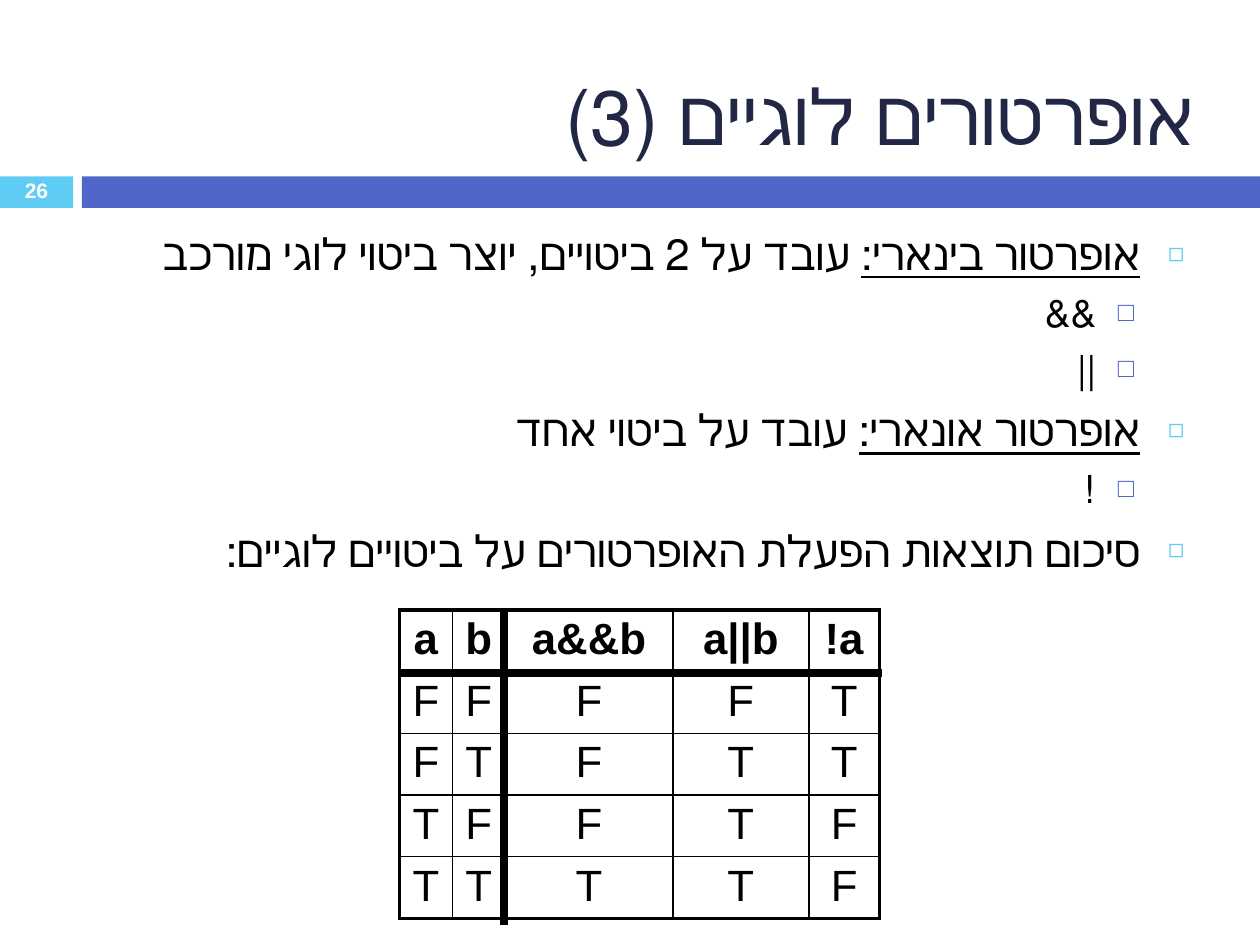
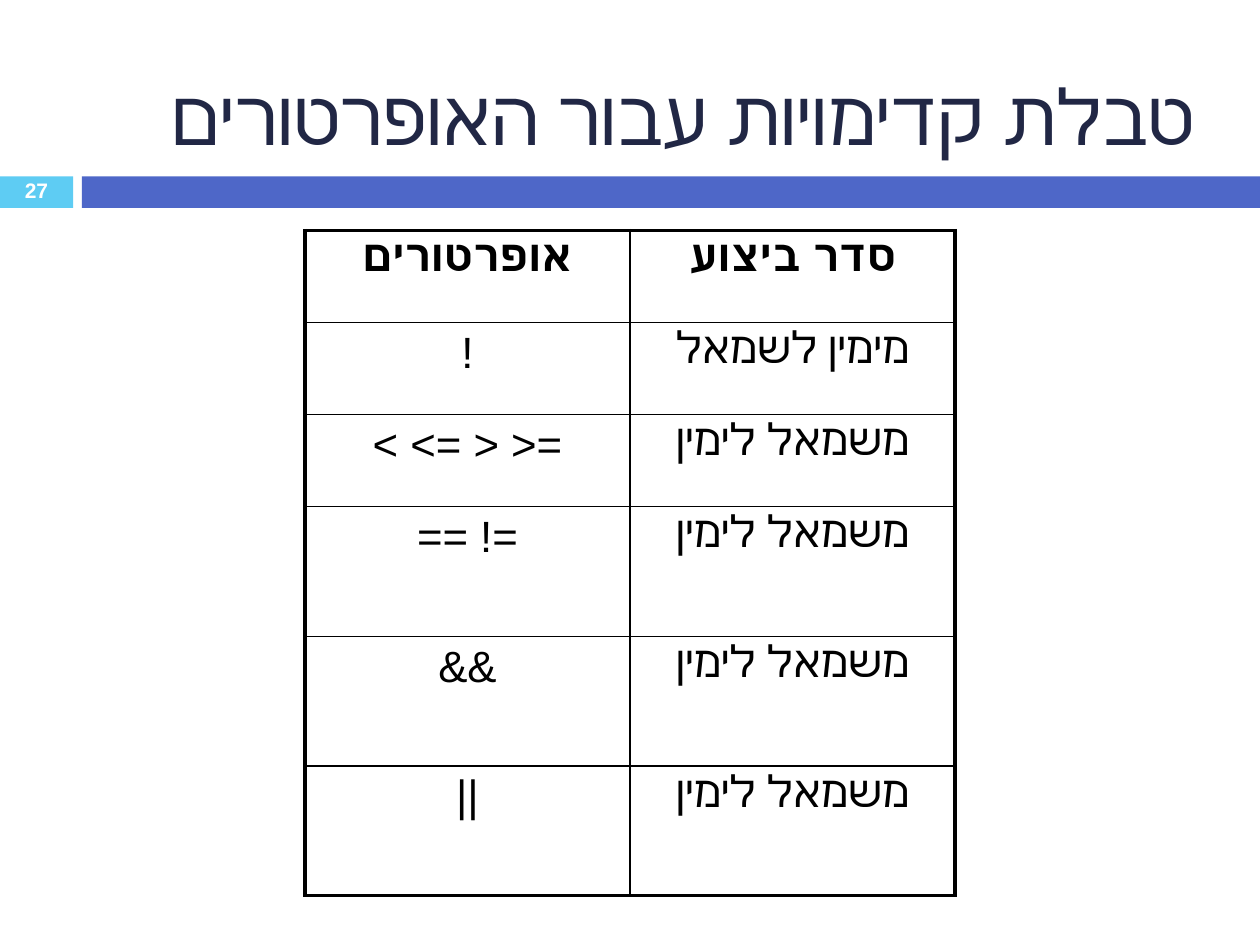
from lxml import etree
from pptx import Presentation
from pptx.dml.color import RGBColor
from pptx.enum.shapes import MSO_CONNECTOR, MSO_SHAPE
from pptx.enum.text import MSO_ANCHOR, MSO_AUTO_SIZE, PP_ALIGN
from pptx.oxml.ns import qn
from pptx.util import Inches, Pt

RECTANGLE, STRAIGHT = MSO_SHAPE.RECTANGLE, MSO_CONNECTOR.STRAIGHT
CENTER, RIGHT = PP_ALIGN.CENTER, PP_ALIGN.RIGHT
TOP, MIDDLE, BOTTOM = MSO_ANCHOR.TOP, MSO_ANCHOR.MIDDLE, MSO_ANCHOR.BOTTOM

FONT = "Arial"
NAVY = RGBColor(0x21, 0x27, 0x45)
BLUE = RGBColor(0x4E, 0x67, 0xC8)
CYAN = RGBColor(0x5E, 0xCC, 0xF3)
BLACK = RGBColor(0, 0, 0)
WHITE = RGBColor(255, 255, 255)

# Content
LOGIC_TITLE = "אופרטורים לוגיים (3)"
# (level, underlined lead, rest)
LOGIC_POINTS = [
    (0, "אופרטור בינארי:", " עובד על 2 ביטויים, יוצר ביטוי לוגי מורכב"),
    (1, "", "&&"),
    (1, "", "||"),
    (0, "אופרטור אונארי:", " עובד על ביטוי אחד"),
    (1, "", "!"),
    (0, "", "סיכום תוצאות הפעלת האופרטורים על ביטויים לוגיים:"),
]
TRUTH_TABLE = [
    ("a", "b", "a&&b", "a||b", "!a"),
    ("F", "F", "F", "F", "T"),
    ("F", "T", "F", "T", "T"),
    ("T", "F", "F", "T", "F"),
    ("T", "T", "T", "T", "F"),
]
PRECEDENCE_TITLE = "טבלת קדימויות עבור האופרטורים"
LEFT_TO_RIGHT = "משמאל לימין"
PRECEDENCE_TABLE = [
    ("אופרטורים", "סדר ביצוע"),
    ("!", "מימין לשמאל"),
    ("< <= > >=", LEFT_TO_RIGHT),
    ("== !=", LEFT_TO_RIGHT),
    ("&&", LEFT_TO_RIGHT),
    ("||", LEFT_TO_RIGHT),
]

# Per list level: text size, space before, left margin, hanging indent, bullet
LEVELS = [
    (25, 7, 0.35, 0.35, "◻", CYAN, 60),
    (22, 5.5, 0.7, 0.3, "□", BLUE, 70),
]


def add_run(paragraph, text, size, color, bold=False, underline=False):
    run = paragraph.add_run()
    run.text = text
    font = run.font
    font.name, font.size, font.bold, font.underline = FONT, Pt(size), bold, underline
    font.color.rgb = color


def place(shape, left, top, width, height):
    shape.left, shape.top = Inches(left), Inches(top)
    shape.width, shape.height = Inches(width), Inches(height)


def add_band(slide, left, width, color):
    band = slide.shapes.add_shape(RECTANGLE, Inches(left), Inches(1.4),
                                  Inches(width), Inches(0.25))
    band.shadow.inherit = False
    band.fill.solid()
    band.fill.fore_color.rgb = color
    band.line.fill.background()
    return band


def add_slide(prs, layout_index, title_text, number):
    """Slide with the shared bands, page number and title."""
    slide = prs.slides.add_slide(prs.slide_layouts[layout_index])
    page_band = add_band(slide, 0, 0.58, CYAN)
    add_band(slide, 0.65, 9.35, BLUE)
    frame = page_band.text_frame
    frame.margin_top = frame.margin_bottom = 0
    frame.vertical_anchor = MIDDLE
    page = frame.paragraphs[0]
    page.alignment, page.line_spacing = CENTER, 0.8
    add_run(page, str(number), 12, WHITE, bold=True)

    title = slide.shapes.title
    place(title, 0.67, 0.25, 8.92, 1.08)
    title.text_frame.vertical_anchor = BOTTOM
    title.text_frame.auto_size = MSO_AUTO_SIZE.NONE
    heading = title.text_frame.paragraphs[0]
    heading.alignment = RIGHT
    heading._p.get_or_add_pPr().set("rtl", "1")
    add_run(heading, title_text, 44, NAVY)
    return slide


def set_bullet(paragraph, margin, hanging, char, color, percent):
    props = paragraph._p.get_or_add_pPr()
    props.set("marL", str(Inches(margin)))
    props.set("indent", str(-Inches(hanging)))
    props.set("rtl", "1")
    bullet_color = etree.SubElement(props, qn("a:buClr"))
    etree.SubElement(bullet_color, qn("a:srgbClr"), val=str(color))
    etree.SubElement(props, qn("a:buSzPct"), val=str(percent * 1000))
    etree.SubElement(props, qn("a:buFont"), typeface=FONT)
    etree.SubElement(props, qn("a:buChar"), char=char)


def fill_points(body, points):
    frame = body.text_frame
    frame.auto_size = MSO_AUTO_SIZE.NONE
    for i, (level, lead, rest) in enumerate(points):
        size, before, *bullet = LEVELS[level]
        point = frame.add_paragraph() if i else frame.paragraphs[0]
        point.level = level
        set_bullet(point, *bullet)
        point.alignment = RIGHT
        point.space_before = Pt(before if i else 0)
        if lead:
            add_run(point, lead, size, BLACK, underline=True)
        add_run(point, rest, size, BLACK)


def set_border(cell, side, width):
    line = etree.SubElement(cell._tc.get_or_add_tcPr(), qn(f"a:ln{side}"),
                            w=str(Pt(width)))
    fill = etree.SubElement(line, qn("a:solidFill"))
    etree.SubElement(fill, qn("a:srgbClr"), val=str(BLACK))


def add_grid(slide, rows, left, top, widths, heights, inset):
    """Table with a bold header row, thin inner lines and a thicker frame."""
    last_row, last_col = len(rows) - 1, len(widths) - 1
    table = slide.shapes.add_table(
        len(rows), len(widths), Inches(left), Inches(top),
        Inches(sum(widths)), Inches(sum(heights))).table
    table.first_row = table.horz_banding = False
    for column, width in zip(table.columns, widths):
        column.width = Inches(width)
    for r, (values, height) in enumerate(zip(rows, heights)):
        table.rows[r].height = Inches(height)
        for c, value in enumerate(values):
            cell = table.cell(r, c)
            outer = {"L": c == 0, "R": c == last_col, "T": r == 0, "B": r == last_row}
            for side, is_outer in outer.items():
                set_border(cell, side, 2.25 if is_outer else 1)
            cell.fill.background()
            cell.vertical_anchor = TOP
            cell.margin_top = cell.margin_bottom = Inches(inset)
            cell.margin_left = cell.margin_right = Inches(0.1)
            entry = cell.text_frame.paragraphs[0]
            entry.alignment = CENTER
            add_run(entry, value, 25, BLACK, bold=r == 0)


def add_rule(slide, x1, y1, x2, y2):
    rule = slide.shapes.add_connector(STRAIGHT, Inches(x1), Inches(y1),
                                      Inches(x2), Inches(y2))
    rule.line.color.rgb = BLACK
    rule.line.width = Pt(4.5)
    etree.SubElement(rule._element.spPr, qn("a:effectLst"))


def main():
    prs = Presentation()
    prs.slide_width, prs.slide_height = Inches(10), Inches(7.5)

    # Logical operators and their truth table
    logic = add_slide(prs, 1, LOGIC_TITLE, 26)
    body = logic.placeholders[1]
    place(body, 0.67, 1.75, 8.83, 4.95)
    fill_points(body, LOGIC_POINTS)
    add_grid(logic, TRUTH_TABLE, 3.17, 4.84, [0.42, 0.42, 1.33, 1.08, 0.56],
             [0.49] * 5, 0.04)
    add_rule(logic, 4, 7.34, 4, 4.84)
    add_rule(logic, 3.17, 5.34, 7, 5.34)

    # Operator precedence
    precedence = add_slide(prs, 5, PRECEDENCE_TITLE, 27)
    add_grid(precedence, PRECEDENCE_TABLE, 2.42, 1.83, [2.58] * 2,
             [0.73] * 3 + [1.03] * 3, 0.05)

    prs.save("out.pptx")


if __name__ == "__main__":
    main()
